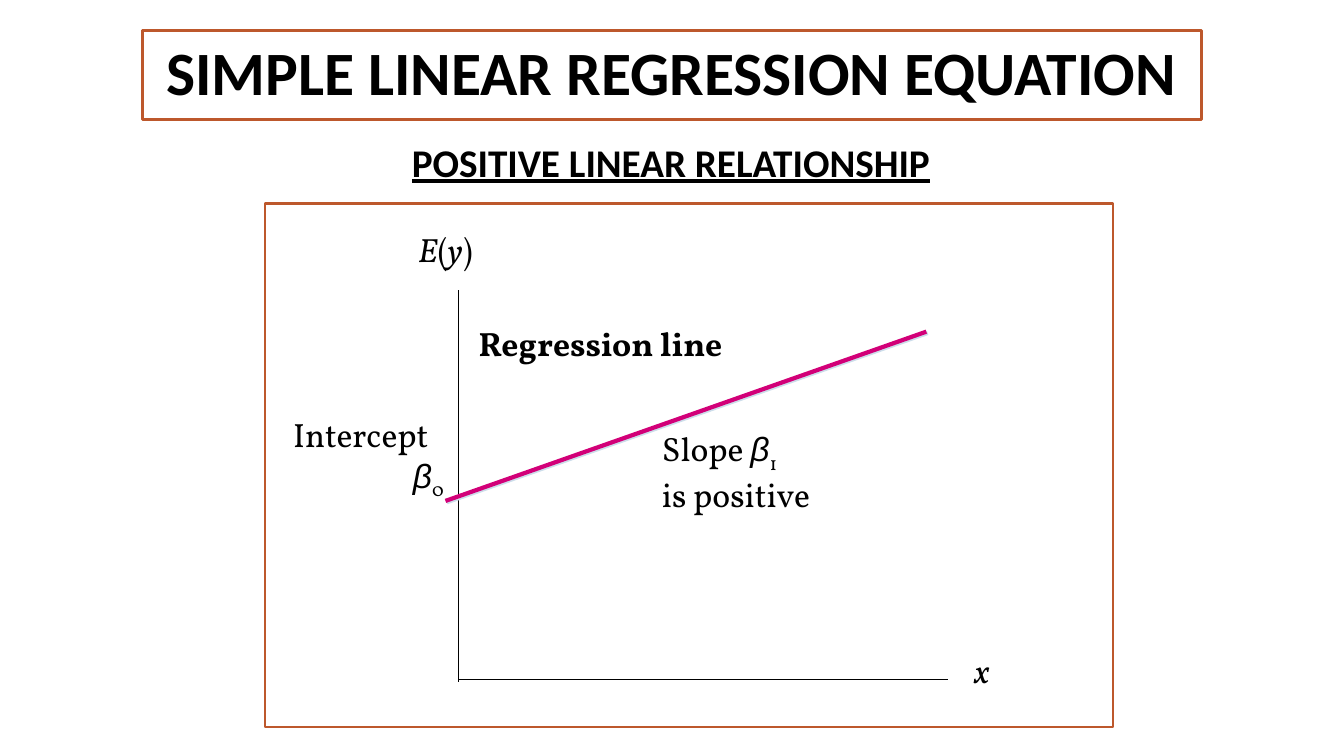
"""Builds the slide on the simple linear regression equation."""
import lxml.etree
import pptx
import pptx.dml.color
import pptx.enum.shapes
import pptx.enum.text
import pptx.oxml.ns
import pptx.util

Pt = pptx.util.Pt
CENTER = pptx.enum.text.PP_ALIGN.CENTER
COLORS = {
    "ink": "000000",
    "paper": "FFFFFF",
    "frame": "BD582C",
    "regression": "D20078",
    "shade": "CCDDEA",
}
SERIF = {"name": "Vollkorn", "size": Pt(24)}
ITALIC = {**SERIF, "italic": True}
GREEK = {**ITALIC, "name": "Arial"}
SUBSCRIPT = {**SERIF, "baseline": -25000}
HEADING = {"name": "Calibri", "bold": True}


def rgb(color):
    """Return the named colour as an RGB value."""
    return pptx.dml.color.RGBColor.from_string(COLORS[color])


def add_frame(shapes, box, weight):
    """Add a white rectangle with a coloured outline."""
    frame = shapes.add_shape(
        pptx.enum.shapes.MSO_SHAPE.RECTANGLE, *map(Pt, box))
    frame.shadow.inherit = False
    frame.fill.solid()
    frame.fill.fore_color.rgb = rgb("paper")
    frame.line.color.rgb = rgb("frame")
    frame.line.width = Pt(weight)
    return frame


def add_line(shapes, start, end, color, weight):
    """Add a straight line and return its effect list."""
    line = shapes.add_connector(
        pptx.enum.shapes.MSO_CONNECTOR.STRAIGHT, *map(Pt, start + end))
    line.line.color.rgb = rgb(color)
    line.line.width = Pt(weight)
    return lxml.etree.SubElement(
        line._element.spPr, pptx.oxml.ns.qn("a:effectLst"))


def add_shade(effects):
    """Cast a small diagonal shadow."""
    shadow = lxml.etree.SubElement(
        effects, pptx.oxml.ns.qn("a:outerShdw"),
        dist=str(Pt(1.4)), dir="2700000", algn="ctr", rotWithShape="0")
    lxml.etree.SubElement(
        shadow, pptx.oxml.ns.qn("a:srgbClr"), val=COLORS["shade"])


def write(frame, lines, **layout):
    """Fill a text frame with lines of formatted runs."""
    for index, pieces in enumerate(lines):
        paragraph = frame.add_paragraph() if index else frame.paragraphs[0]
        for name, value in layout.items():
            setattr(paragraph, name, value)
        for words, style in pieces:
            run = paragraph.add_run()
            run.text = words
            run.font.color.rgb = rgb("ink")
            for name, value in style.items():
                if name == "baseline":
                    run.font._element.set(name, str(value))
                else:
                    setattr(run.font, name, value)


def add_label(shapes, box, lines, wrap=True, **layout):
    """Add a text box with lines of formatted runs."""
    frame = shapes.add_textbox(*map(Pt, box)).text_frame
    frame.word_wrap = wrap
    write(frame, lines, **layout)
    return frame


def add_axes(slide):
    """Add both axes with their names as one group."""
    axes = slide.shapes.add_group_shape().shapes
    add_line(axes, (327.6, 207.4), (327.6, 487.4), "ink", 0.5)
    add_line(axes, (676.8, 485.3), (327.6, 485.3), "ink", 0.5)
    response = [("E", ITALIC), ("(", SERIF), ("y", ITALIC), (")", SERIF)]
    add_label(axes, (291.6, 159.8, 75.6, 41.8), [response], wrap=False)
    add_label(axes, (689, 460.8, 35.3, 41.8), [[("x", ITALIC)]], wrap=False)


def add_annotations(shapes):
    """Name the regression line, its slope and its intercept."""
    slope = [("Slope ", SERIF), ("β", GREEK), ("1", SUBSCRIPT)]
    add_label(shapes, (465.8, 302.4, 163.4, 65.5),
              [slope, [("is positive", SERIF)]])
    add_label(shapes, (334.8, 226.8, 244, 36),
              [[("Regression line", {**SERIF, "bold": True})]])
    intercept = add_label(
        shapes, (202.3, 292.3, 154, 65.5),
        [[("Intercept", SERIF)], [("β", GREEK), ("0", SUBSCRIPT)]])
    symbol = intercept.paragraphs[1]._p.get_or_add_pPr()
    symbol.set("marL", str(Pt(85.5)))
    symbol.set("indent", "0")


def main():
    """Build and save the slide."""
    deck = pptx.Presentation()
    deck.slide_width, deck.slide_height = Pt(960), Pt(540)
    slide = deck.slides.add_slide(deck.slide_layouts[6])
    shapes = slide.shapes
    title = add_frame(shapes, (101.5, 21.6, 756.7, 64.1), 2.25).text_frame
    title.word_wrap = True
    title.vertical_anchor = pptx.enum.text.MSO_ANCHOR.MIDDLE
    write(title, [[("SIMPLE LINEAR REGRESSION EQUATION",
                    {**HEADING, "size": Pt(44)})]],
          alignment=CENTER, line_spacing=0.9)
    add_frame(shapes, (189.4, 145.4, 605.5, 373.7), 1.5)
    add_axes(slide)
    add_shade(add_line(
        shapes, (318.2, 357.8), (661.7, 236.9), "regression", 3))
    add_annotations(shapes)
    add_label(shapes, (136.1, 95, 686.2, 41),
              [[("POSITIVE LINEAR RELATIONSHIP",
                 {**HEADING, "size": Pt(28), "underline": True})]],
              alignment=CENTER)
    deck.save("out.pptx")


if __name__ == "__main__":
    main()
